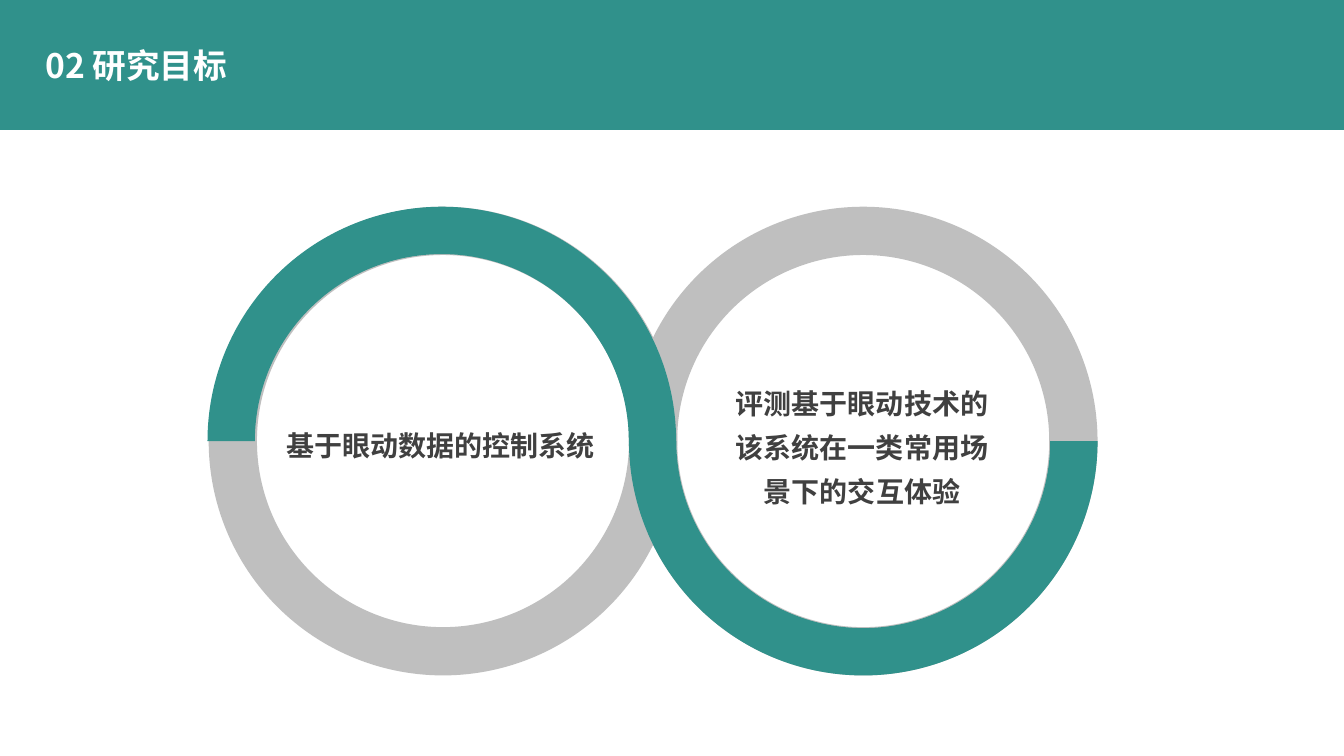
from pptx import Presentation
from pptx.dml.color import RGBColor
from pptx.enum.shapes import MSO_SHAPE
from pptx.enum.text import MSO_ANCHOR, PP_ALIGN
from pptx.oxml.ns import qn
from pptx.util import Cm, Pt
from lxml.etree import SubElement

TEAL = RGBColor(0x30, 0x91, 0x8B)
GREY = RGBColor(0xBF, 0xBF, 0xBF)
DARK = RGBColor(0x40, 0x40, 0x40)
WHITE = RGBColor(0xFF, 0xFF, 0xFF)
FONT = "Noto Sans CJK SC"

SLIDE_WIDTH, SLIDE_HEIGHT = Cm(33.87), Cm(19.05)
BANNER_HEIGHT = Cm(3.28)
RING_TOP, RING_SIZE = Cm(5.21), Cm(11.81)
LEFT_RING, RIGHT_RING = Cm(5.26), Cm(15.85)


def format_paragraph(paragraph, size, color, line_spacing, alignment):
    paragraph.line_spacing = line_spacing
    paragraph.alignment = alignment
    font = paragraph.font
    font.size = Pt(size)
    font.bold = True
    font.color.rgb = color
    font.name = FONT
    properties = paragraph._p.pPr.find(qn("a:defRPr"))
    SubElement(properties, qn("a:ea")).set("typeface", FONT)


def add_title(slide, text):
    title = slide.shapes.title
    title.left, title.top = Cm(0.89), Cm(0.71)
    title.width, title.height = Cm(14.73), Cm(2.01)
    title.text_frame.text = text
    title.text_frame.vertical_anchor = MSO_ANCHOR.MIDDLE
    format_paragraph(title.text_frame.paragraphs[0], 24, WHITE, 0.9, PP_ALIGN.LEFT)


def add_plain_shape(slide, kind, left, top, width, height, color):
    shape = slide.shapes.add_shape(kind, left, top, width, height)
    shape.shadow.inherit = False
    shape.fill.solid()
    shape.fill.fore_color.rgb = color
    shape.line.fill.background()
    return shape


def add_ring(slide, left):
    ring = add_plain_shape(slide, MSO_SHAPE.DONUT, left, RING_TOP, RING_SIZE, RING_SIZE, GREY)
    ring.adjustments[0] = 0.103


def add_half_ring(slide, left, rotation):
    arc = add_plain_shape(slide, MSO_SHAPE.BLOCK_ARC, left, RING_TOP, RING_SIZE, RING_SIZE, TEAL)
    for index, value in enumerate((108, 0, 0.101)):
        arc.adjustments[index] = value
    arc.rotation = rotation


def add_goal(slide, text, left, top, width, height, alignment):
    box = slide.shapes.add_textbox(left, top, width, height)
    box.text_frame.word_wrap = True
    box.text_frame.text = text
    format_paragraph(box.text_frame.paragraphs[0], 20, DARK, 1.3, alignment)


def main():
    presentation = Presentation()
    presentation.slide_width, presentation.slide_height = SLIDE_WIDTH, SLIDE_HEIGHT
    slide = presentation.slides.add_slide(presentation.slide_layouts[5])
    slide.background.fill.solid()
    slide.background.fill.fore_color.rgb = TEAL

    add_plain_shape(slide, MSO_SHAPE.RECTANGLE, 0, BANNER_HEIGHT,
                    SLIDE_WIDTH, SLIDE_HEIGHT - BANNER_HEIGHT, WHITE)
    add_title(slide, "02 研究目标")

    for left in (LEFT_RING, RIGHT_RING):
        add_ring(slide, left)
    for left, rotation in ((LEFT_RING - Cm(0.03), 0), (RIGHT_RING, 180)):
        add_half_ring(slide, left, rotation)

    add_goal(slide, "基于眼动数据的控制系统",
             Cm(6.96), Cm(10.41), Cm(8.38), Cm(1.24), PP_ALIGN.LEFT)
    add_goal(slide, "评测基于眼动技术的该系统在一类常用场景下的交互体验",
             Cm(18.26), Cm(9.37), Cm(6.93), Cm(3.58), PP_ALIGN.CENTER)
    presentation.save("out.pptx")


if __name__ == "__main__":
    main()
